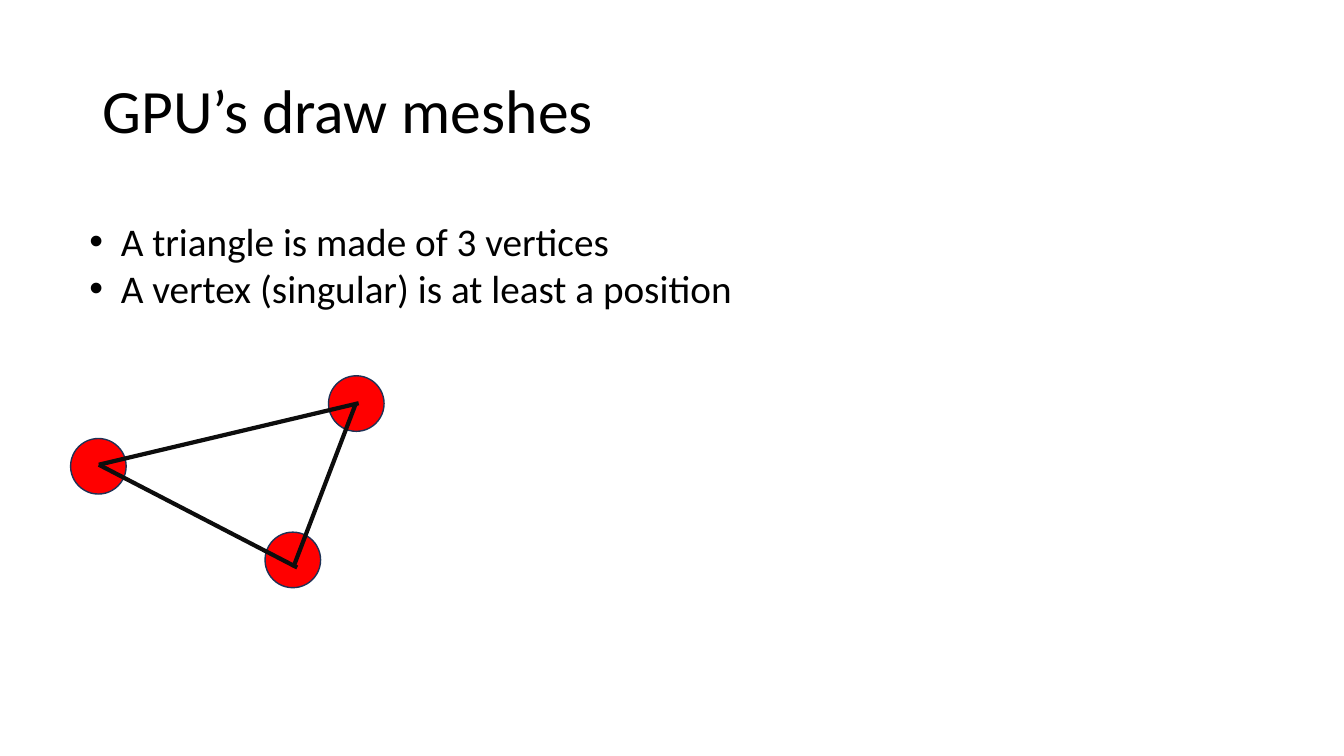
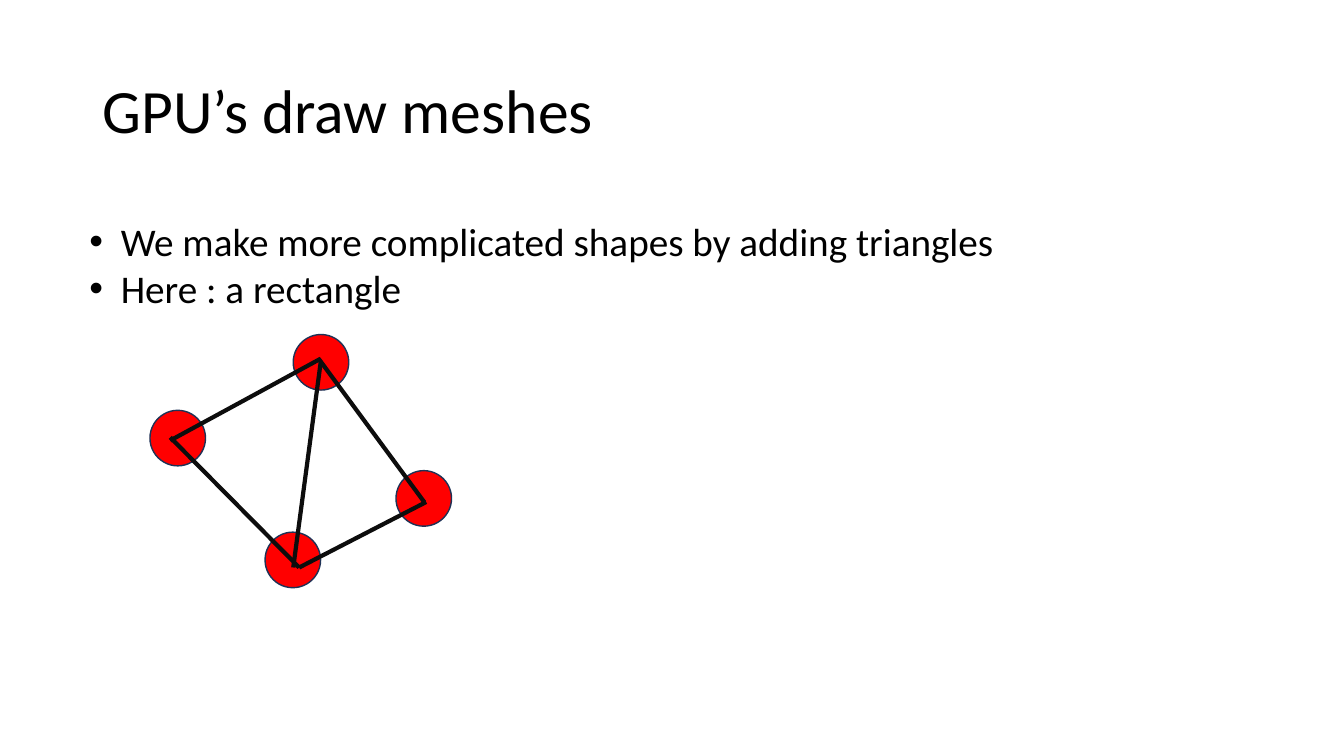
from typing import NamedTuple

from lxml.etree import SubElement
from pptx import Presentation
from pptx.dml.color import RGBColor
from pptx.enum.shapes import MSO_CONNECTOR, MSO_SHAPE
from pptx.enum.text import MSO_ANCHOR, MSO_AUTO_SIZE, PP_ALIGN
from pptx.oxml.ns import qn
from pptx.slide import Slide
from pptx.util import Cm, Pt

FONT = "Calibri"
TEXT, DOT, RIM, EDGE = "000000", "FF0000", "1E3256", "0D0D0D"
TITLE = "GPU’s draw meshes"
SIZE = 1.4  # vertex diameter in cm
INDENT = Cm(0.79)


class Point(NamedTuple):
    x: float
    y: float


class Edge(NamedTuple):
    start: Point
    end: Point


class Page(NamedTuple):
    points: list[str]
    width: float
    dots: list[Point]  # top left corners
    edges: list[Edge]


PAGES = [
    Page(
        ["A triangle is made of 3 vertices",
         "A vertex (singular) is at least a position"],
        16.89,
        [Point(8.28, 9.47), Point(6.68, 13.41), Point(1.78, 11.05)],
        [Edge(Point(2.49, 11.71), Point(9.04, 10.16)),
         Edge(Point(7.39, 14.3), Point(8.97, 10.16)),
         Edge(Point(2.49, 11.71), Point(7.49, 14.3))],
    ),
    Page(
        ["We make more complicated shapes by adding triangles",
         "Here : a rectangle"],
        23.55,
        [Point(7.39, 8.43), Point(6.68, 13.41),
         Point(3.78, 10.34), Point(9.98, 11.86)],
        [Edge(Point(4.29, 11.1), Point(8.08, 9.04)),
         Edge(Point(7.39, 14.3), Point(8.08, 9.14)),
         Edge(Point(4.29, 11.02), Point(7.54, 14.3)),
         Edge(Point(10.69, 12.65), Point(8.03, 9.04)),
         Edge(Point(7.54, 14.3), Point(10.74, 12.65))],
    ),
]


def color(code: str) -> RGBColor:
    return RGBColor.from_string(code)


def place(shape, left: float, top: float, width: float, height: float) -> None:
    shape.left, shape.top = Cm(left), Cm(top)
    shape.width, shape.height = Cm(width), Cm(height)


def style(para, size: int) -> None:
    para.alignment = PP_ALIGN.LEFT
    para.space_before = Pt(0)
    para.font.name = FONT
    para.font.size = Pt(size)
    para.font.color.rgb = color(TEXT)


def bullet(para) -> None:
    props = para._p.get_or_add_pPr()
    props.set("marL", str(INDENT))
    props.set("indent", str(-INDENT))
    SubElement(props, qn("a:buFont"), typeface="Arial")
    SubElement(props, qn("a:buChar"), char="•")


def add_title(slide: Slide) -> None:
    title = slide.shapes.title
    place(title, 2.33, 1.01, 29.21, 3.68)
    frame = title.text_frame
    frame.text = TITLE
    frame.auto_size = MSO_AUTO_SIZE.NONE
    frame.vertical_anchor = MSO_ANCHOR.MIDDLE
    para = frame.paragraphs[0]
    style(para, 44)
    para.line_spacing = 0.9


def add_list(slide: Slide, points: list[str], width: float) -> None:
    body = slide.placeholders[1]
    place(body, 2, 5.34, width, 2.65)
    frame = body.text_frame
    frame.text = "\n".join(points)
    frame.auto_size = MSO_AUTO_SIZE.SHAPE_TO_FIT_TEXT
    frame.word_wrap = False
    for para in frame.paragraphs:
        bullet(para)
        style(para, 28)


def add_dot(slide: Slide, spot: Point) -> None:
    dot = slide.shapes.add_shape(
        MSO_SHAPE.OVAL, Cm(spot.x), Cm(spot.y), Cm(SIZE), Cm(SIZE))
    dot.shadow.inherit = False
    dot.fill.solid()
    dot.fill.fore_color.rgb = color(DOT)
    dot.line.color.rgb = color(RIM)
    dot.line.width = Pt(1)


def add_edge(slide: Slide, edge: Edge) -> None:
    start, end = edge
    link = slide.shapes.add_connector(
        MSO_CONNECTOR.STRAIGHT,
        Cm(start.x), Cm(start.y), Cm(end.x), Cm(end.y))
    link.line.color.rgb = color(EDGE)
    link.line.width = Pt(3)
    SubElement(link._element.spPr, qn("a:effectLst"))


def main() -> None:
    deck = Presentation()
    deck.slide_width, deck.slide_height = Cm(33.87), Cm(19.05)
    for page in PAGES:
        slide = deck.slides.add_slide(deck.slide_layouts[1])
        add_title(slide)
        add_list(slide, page.points, page.width)
        for spot in page.dots:
            add_dot(slide, spot)
        for edge in page.edges:
            add_edge(slide, edge)
    deck.save("out.pptx")


if __name__ == "__main__":
    main()
